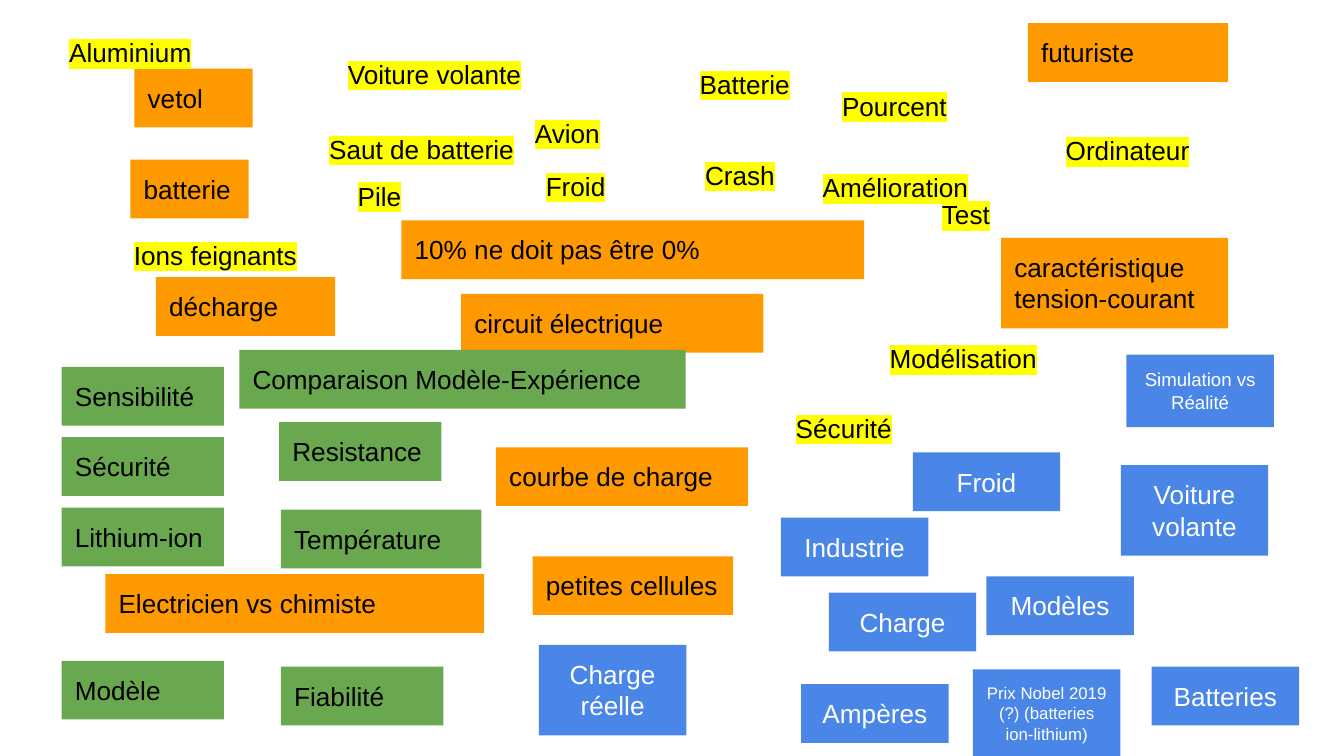
from lxml.etree import SubElement
from pptx import Presentation
from pptx.dml.color import RGBColor
from pptx.enum.shapes import MSO_SHAPE
from pptx.enum.text import MSO_ANCHOR, MSO_AUTO_SIZE, PP_ALIGN
from pptx.oxml.ns import qn
from pptx.util import Pt


def colour(value):
    return RGBColor.from_string(value)


ONE_LINE, TWO_LINES = 31.5, 48.5
BLUE_WIDTH, GREEN_WIDTH, NOTE_WIDTH = 79, 87, 577.5

FILLS = {"orange": "FF9900", "green": "6AA84F", "blue": "4A86E8"}
FRAME_FORMAT = {
    "word_wrap": True,
    "auto_size": MSO_AUTO_SIZE.SHAPE_TO_FIT_TEXT,
    "vertical_anchor": MSO_ANCHOR.TOP,
    "margin_left": Pt(7.2),
    "margin_top": Pt(7.2),
    "margin_right": Pt(7.2),
    "margin_bottom": Pt(7.2),
}

WORDS = [
    ("orange", "vetol", 72, 36.8, 63.4, ONE_LINE, 14),
    ("yellow", "Voiture volante", 179.3, 24.2, 126.7, ONE_LINE, 14),
    ("orange", "batterie", 69.8, 85.5, 63.4, ONE_LINE, 14),
    ("yellow", "Batterie", 367.7, 29.5, NOTE_WIDTH, ONE_LINE, 14),
    ("blue", "Batteries", 617, 357.2, BLUE_WIDTH, ONE_LINE, 14),
    ("orange", "décharge", 83.5, 148.5, 96, ONE_LINE, 14),
    ("orange", "circuit électrique", 247, 157.5, 162, ONE_LINE, 14),
    ("yellow", "Pourcent", 444, 41, NOTE_WIDTH, ONE_LINE, 14),
    ("green", "Lithium-ion", 33, 272, GREEN_WIDTH, ONE_LINE, 14),
    ("orange", "Electricien vs chimiste", 56.4, 307.6, 203, ONE_LINE, 14),
    ("yellow", "Avion", 279.4, 55.7, NOTE_WIDTH, ONE_LINE, 14),
    ("blue", "Charge", 444, 317.5, BLUE_WIDTH, ONE_LINE, 14),
    ("blue", "Ampères", 429.2, 366.5, BLUE_WIDTH, ONE_LINE, 14),
    ("orange", "courbe de charge", 265.7, 239.6, 135, ONE_LINE, 14),
    ("blue", "Voiture volante", 600.4, 249.2, BLUE_WIDTH, TWO_LINES, 14),
    ("green", "Température", 150.5, 273, 107.4, ONE_LINE, 14),
    ("yellow", "Crash", 370.6, 78.3, NOTE_WIDTH, ONE_LINE, 14),
    ("orange", "10% ne doit pas être 0%", 215, 118, 248, ONE_LINE, 14),
    ("blue", "Charge réelle", 288.7, 345.5, BLUE_WIDTH, TWO_LINES, 14),
    ("green", "Resistance", 149.5, 226.2, GREEN_WIDTH, ONE_LINE, 14),
    ("blue", "Froid", 489, 242.4, BLUE_WIDTH, ONE_LINE, 14),
    ("green", "Modèle", 33, 354, GREEN_WIDTH, ONE_LINE, 14),
    ("yellow", "Modélisation", 469.5, 176.4, NOTE_WIDTH, ONE_LINE, 14),
    ("orange", "petites cellules", 285.4, 298, 107.4, ONE_LINE, 14),
    ("green", "Fiabilité", 150.5, 357.2, GREEN_WIDTH, ONE_LINE, 14),
    ("orange", "caractéristique tension-courant", 536.3, 127.5, 121.7, TWO_LINES, 14),
    ("yellow", "Test", 497.5, 99.3, NOTE_WIDTH, ONE_LINE, 14),
    ("green", "Sensibilité", 33, 196.5, GREEN_WIDTH, ONE_LINE, 14),
    ("yellow", "Ordinateur", 563.8, 65, NOTE_WIDTH, ONE_LINE, 14),
    ("yellow", "Pile", 184.5, 89.2, NOTE_WIDTH, ONE_LINE, 14),
    ("orange", "futuriste", 550.6, 12.4, 107.4, ONE_LINE, 14),
    ("yellow", "Sécurité", 419.2, 213.8, NOTE_WIDTH, ONE_LINE, 14),
    ("green", "Comparaison Modèle-Expérience", 128.2, 187.4, 239.2, ONE_LINE, 14),
    ("blue", "Modèles", 528.4, 308.8, BLUE_WIDTH, ONE_LINE, 14),
    ("blue", "Simulation vs Réalité", 603.4, 190, BLUE_WIDTH, 38.8, 10),
    ("yellow", "Amélioration", 433.6, 84.8, NOTE_WIDTH, ONE_LINE, 14),
    ("yellow", "Saut de batterie", 169.2, 64.3, NOTE_WIDTH, ONE_LINE, 14),
    ("green", "Sécurité", 33, 234.2, GREEN_WIDTH, ONE_LINE, 14),
    ("yellow", "Ions feignants", 64.6, 121.2, NOTE_WIDTH, ONE_LINE, 14),
    ("yellow", "Froid", 285.3, 84.2, NOTE_WIDTH, ONE_LINE, 14),
    ("blue", "Industrie", 418.3, 277.3, BLUE_WIDTH, ONE_LINE, 14),
    ("yellow", "Aluminium", 30, 12.5, NOTE_WIDTH, ONE_LINE, 14),
    ("blue", "Prix Nobel 2019 (?) (batteries ion-lithium)", 521.2, 358.7, BLUE_WIDTH, 47.5, 9),
]

deck = Presentation()
deck.slide_width, deck.slide_height = Pt(720), Pt(405)
page = deck.slides.add_slide(deck.slide_layouts[6])

for kind, text, left, top, width, height, size in WORDS:
    place = Pt(left), Pt(top), Pt(width), Pt(height)
    if kind == "yellow":
        box = page.shapes.add_textbox(*place)
    else:
        box = page.shapes.add_shape(MSO_SHAPE.RECTANGLE, *place)
        box.shadow.inherit = False
        box.fill.solid()
        box.fill.fore_color.rgb = colour(FILLS[kind])
        box.line.fill.background()
    for name, value in FRAME_FORMAT.items():
        setattr(box.text_frame, name, value)

    para = box.text_frame.paragraphs[0]
    para.alignment = PP_ALIGN.CENTER if kind == "blue" else PP_ALIGN.LEFT
    span = para.add_run()
    span.text = text
    for name, value in {"name": "Arial", "size": Pt(size)}.items():
        setattr(span.font, name, value)
    span.font.color.rgb = colour("FFFFFF" if kind == "blue" else "000000")

    if kind == "yellow":
        properties = span.font._element
        highlight = SubElement(properties, qn("a:highlight"))
        SubElement(highlight, qn("a:srgbClr")).set("val", "FFFF00")
        properties.find(qn("a:solidFill")).addnext(highlight)

deck.save("out.pptx")
